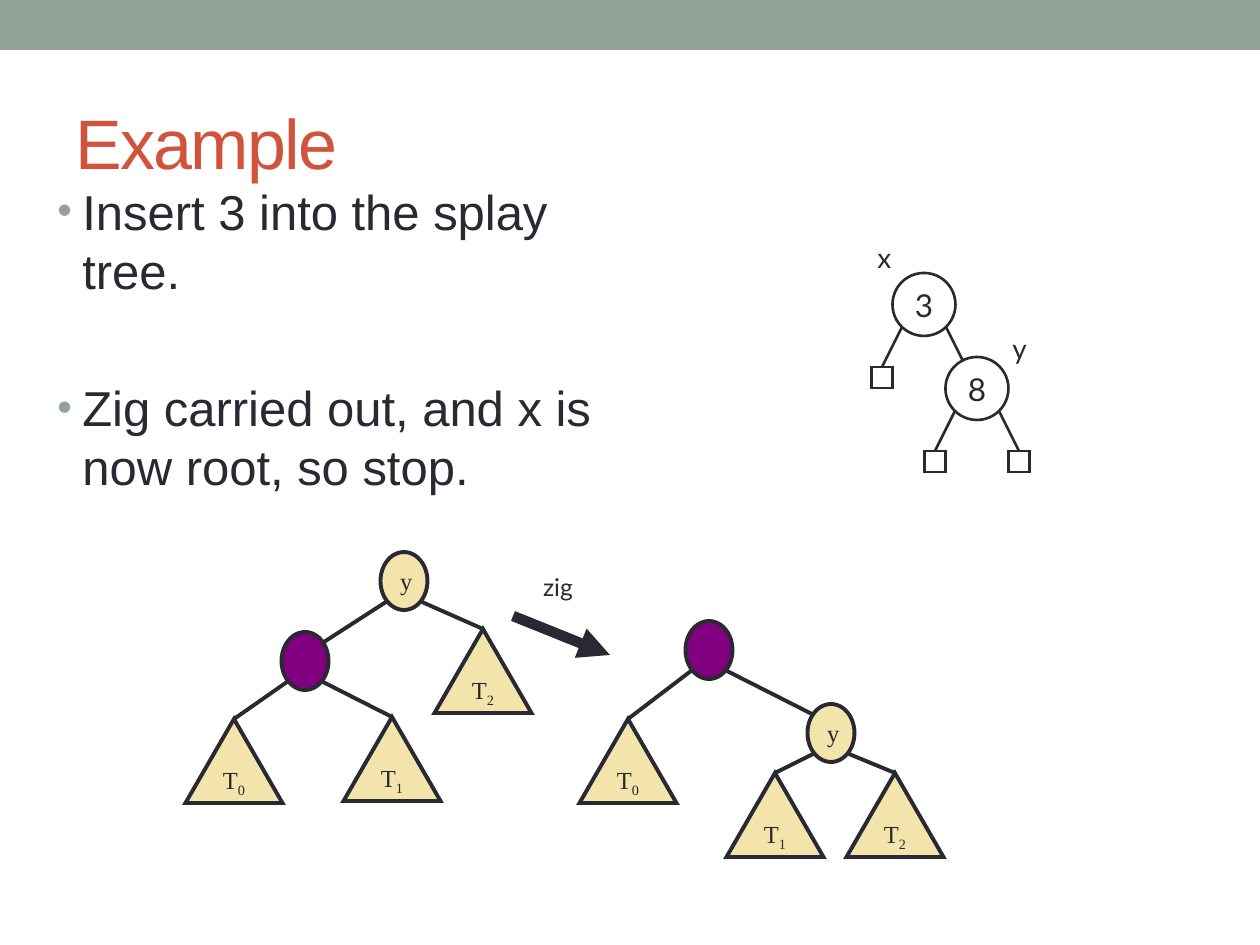
from lxml import etree
from pptx import Presentation
from pptx.dml.color import RGBColor
from pptx.enum.shapes import MSO_CONNECTOR, MSO_SHAPE
from pptx.enum.text import MSO_ANCHOR, PP_ALIGN
from pptx.oxml.ns import qn
from pptx.util import Pt

PX = 914400 / 126
RECTANGLE, OVAL = MSO_SHAPE.RECTANGLE, MSO_SHAPE.OVAL
TRIANGLE = MSO_SHAPE.ISOSCELES_TRIANGLE
STRAIGHT = MSO_CONNECTOR.STRAIGHT
MIDDLE, TOP = MSO_ANCHOR.MIDDLE, MSO_ANCHOR.TOP
CENTER, LEFT = PP_ALIGN.CENTER, PP_ALIGN.LEFT

INK = RGBColor(0x29, 0x29, 0x34)
SAGE = RGBColor(0x93, 0xA2, 0x99)
RUST = RGBColor(0xD2, 0x53, 0x3C)
CREAM = RGBColor(0xF2, 0xE4, 0xAA)
PURPLE = RGBColor(0x80, 0x00, 0x80)
WHITE = RGBColor(0xFF, 0xFF, 0xFF)

TITLE = "Example"
BULLETS = [
    ("Insert 3 into the splay tree.", 0),
    ("Zig carried out, and x is now root, so stop.", 45),
]
LABELS = [
    ("x", (865, 234, 39, 47), 16, TOP),
    ("y", (1000, 325, 39, 47), 16, TOP),
    ("zig", (530, 566, 56, 42), 14, MIDDLE),
]
SEARCH_NODES = [("3", 924, 273, (-1,)), ("8", 977, 357, (-1, 1))]
SPLAY_TREES = [
    {
        "nodes": {"y": (404, 552), "x": (305, 632),
                  "T0": (234, 719), "T1": (392, 717), "T2": (483, 629)},
        "edges": ["y x", "y T2", "x T0", "x T1"],
    },
    {
        "nodes": {"x": (709, 621), "y": (831, 704),
                  "T0": (628, 719), "T1": (775, 773), "T2": (895, 773)},
        "edges": ["x T0", "x y", "y T1", "y T2"],
    },
]
ZIG_ARROW = ((513, 616), (610, 655))

NODE, LEAF, LEAF_DROP = 63, 21, 94
OVAL_WIDTH, OVAL_HEIGHT = 47, 58
TRIANGLE_WIDTH, TRIANGLE_HEIGHT = 97, 84


def emu(*lengths):
    return [round(length * PX) for length in lengths]


def style_run(run, size, font_name, color):
    run.font.size = Pt(size)
    run.font.name = font_name
    run.font.color.rgb = color


def add_outlined(slide, kind, box, fill, width):
    shape = slide.shapes.add_shape(kind, *emu(*box))
    shape.shadow.inherit = False
    if fill is None:
        shape.fill.background()
    else:
        shape.fill.solid()
        shape.fill.fore_color.rgb = fill
    shape.line.color.rgb = INK
    shape.line.width = Pt(width)
    etree.SubElement(shape.line._get_or_add_ln(), qn("a:miter"), lim="800000")
    return shape


def add_line(slide, start, end, width):
    line = slide.shapes.add_connector(STRAIGHT, *emu(*start, *end))
    line.line.color.rgb = INK
    line.line.width = Pt(width)
    etree.SubElement(line._element.spPr, qn("a:effectLst"))
    return line


def write(shape, parts, size, font_name, color=INK, align=CENTER, anchor=MIDDLE, wrap=False):
    frame = shape.text_frame
    frame.word_wrap = wrap
    frame.vertical_anchor = anchor
    paragraph = frame.paragraphs[0]
    paragraph.alignment = align
    for index, part in enumerate(parts):
        run = paragraph.add_run()
        run.text = part
        style_run(run, size, font_name, color)
        if index:
            run.font._element.set("baseline", "-25000")
    return paragraph


def add_bullets(slide):
    frame = slide.shapes.add_textbox(*emu(45, 175, 575, 725)).text_frame
    frame.word_wrap = True
    for index, (text, space) in enumerate(BULLETS):
        paragraph = frame.add_paragraph() if index else frame.paragraphs[0]
        paragraph.text = text
        paragraph.space_before = Pt(space)
        properties = paragraph._p.get_or_add_pPr()
        indent = emu(25)[0]
        properties.set("marL", str(indent))
        properties.set("indent", str(-indent))
        color = etree.SubElement(properties, qn("a:buClr"))
        etree.SubElement(color, qn("a:srgbClr"), val=str(SAGE))
        etree.SubElement(properties, qn("a:buSzPct"), val="85000")
        etree.SubElement(properties, qn("a:buFont"), typeface="Arial")
        etree.SubElement(properties, qn("a:buChar"), char="•")
        style_run(paragraph.runs[0], 28, "Arial", INK)


def add_search_tree(slide):
    for key, center, top, leaf_sides in SEARCH_NODES:
        for side in (-1, 1):
            add_line(slide, (center + 21 * side, top + 52),
                     (center + 42 * side, top + LEAF_DROP), 1.5)
        for side in leaf_sides:
            box = (center + 42 * side - LEAF / 2, top + LEAF_DROP, LEAF, LEAF)
            add_outlined(slide, RECTANGLE, box, None, 1.5)
        box = (center - NODE / 2, top, NODE, NODE)
        circle = add_outlined(slide, OVAL, box, WHITE, 1.5)
        write(circle, [key], 18, "Lato")


def add_splay_tree(slide, nodes, edges):
    for edge in edges:
        parent, child = edge.split()
        (center, top), (child_center, child_top) = nodes[parent], nodes[child]
        side = 1 if child_center > center else -1
        end = (child_center, child_top)
        if child in ("x", "y"):
            end = (child_center - 19 * side, child_top + 10)
        add_line(slide, (center + 18 * side, top + 50), end, 2.25)
    for name, (center, top) in nodes.items():
        is_subtree = name.startswith("T")
        kind = TRIANGLE if is_subtree else OVAL
        width = TRIANGLE_WIDTH if is_subtree else OVAL_WIDTH
        height = TRIANGLE_HEIGHT if is_subtree else OVAL_HEIGHT
        fill = PURPLE if name == "x" else CREAM
        shape = add_outlined(slide, kind, (center - width / 2, top, width, height), fill, 2.25)
        if name != "x":
            write(shape, list(name), 14, "Times New Roman")
        if name == "y":
            shape.text_frame.margin_left = emu(17)[0]


def main():
    """Build the splay tree insertion slide."""
    presentation = Presentation()
    presentation.slide_width, presentation.slide_height = emu(1260, 945)
    slide = presentation.slides.add_slide(presentation.slide_layouts[6])

    band = slide.shapes.add_shape(RECTANGLE, *emu(0, 0, 1260, 50))
    band.shadow.inherit = False
    band.fill.solid()
    band.fill.fore_color.rgb = SAGE
    band.line.fill.background()

    title = slide.shapes.add_textbox(*emu(63, 73, 1134, 136))
    paragraph = write(title, [TITLE], 40, "Arial", RUST, LEFT, wrap=True)
    paragraph.runs[0].font._element.set("spc", "-100")
    add_bullets(slide)

    add_search_tree(slide)
    for text, box, size, anchor in LABELS:
        label = slide.shapes.add_textbox(*emu(*box))
        write(label, [text], size, "Lato", anchor=anchor)
    for tree in SPLAY_TREES:
        add_splay_tree(slide, **tree)
    arrow = add_line(slide, *ZIG_ARROW, 6)
    etree.SubElement(arrow.line._get_or_add_ln(), qn("a:tailEnd"), type="triangle",
                     w="med", len="med")
    presentation.save("out.pptx")


if __name__ == "__main__":
    main()
